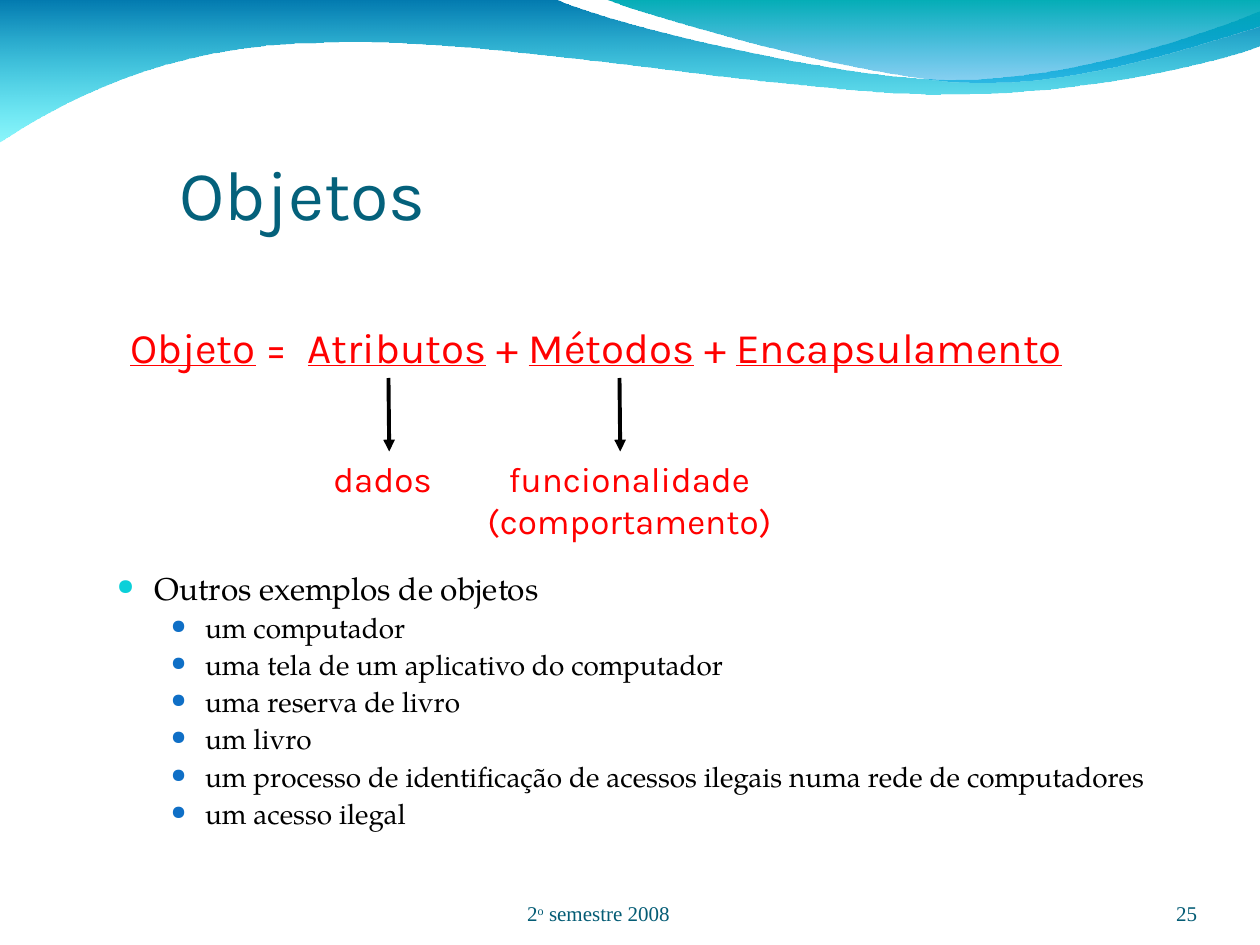
from lxml import etree
from pptx import Presentation
from pptx import util as u
from pptx.dml.color import RGBColor
from pptx.enum import shapes, text
from pptx.oxml.ns import qn

SLIDE_WIDTH, SLIDE_HEIGHT = u.Inches(10), u.Inches(7.5)
COLUMNS = 120
UNIT = SLIDE_WIDTH / COLUMNS  # square grid of 120 columns and 90 rows

BLACK = RGBColor(0x00, 0x00, 0x00)
RED = RGBColor(0xFF, 0x00, 0x00)
TITLE_TEAL = RGBColor(0x04, 0x61, 0x7B)
FOOTER_TEAL = RGBColor(0x04, 0x5C, 0x75)
BULLET_CYAN = RGBColor(0x0B, 0xD0, 0xD9)
BULLET_BLUE = RGBColor(0x0F, 0x6F, 0xC6)
WAVE_BLUE = RGBColor(0x00, 0x79, 0xAF)
WAVE_CYAN = RGBColor(0x00, 0xEB, 0xF8)
WAVE_TEAL = RGBColor(0x00, 0xAD, 0xB6)
WAVE_SKY = RGBColor(0x00, 0x9B, 0xE5)

HEADING_FONT, BODY_FONT, FOOTER_FONT = "Karla", "TeX Gyre Pagella", "Times New Roman"

# Each step is one point (a straight line) or three points (a cubic curve).
LEFT_WAVE = [
    [(0, -0.1)],
    [(52.8, -0.1)],
    [(57.12, 2.04), (79.68, 7.56), (90.96, 7.56)],
    [(102.36, 7.56), (114.96, 3.12), (120, 1.08)],
    [(120.1, 4.32)],
    [(117.96, 5.28), (104.4, 9.12), (89.52, 9)],
    [(74.64, 9), (45.84, 3.36), (30.84, 4.08)],
    [(15.48, 4.2), (5.52, 9.96), (-0.1, 13.56)],
]
RIGHT_WAVE = [
    [(57.5, -0.1)],
    [(61.08, 1.32), (81.84, 7.44), (92.28, 7.8)],
    [(102.72, 8.28), (115.32, 3.84), (120, 2.52)],
    [(120, 0)],
]

EXAMPLES = [
    "um computador",
    "uma tela de um aplicativo do computador",
    "uma reserva de livro",
    "um livro",
    "um processo de identificação de acessos ilegais numa rede de computadores",
    "um acesso ilegal",
]


def grid(*counts):
    """Turn counts of grid units into lengths."""
    return [u.Emu(round(count * UNIT)) for count in counts]


def bend(wave, steps):
    """Turn the three lines of each curved step into one cubic curve."""
    lines = iter(wave._element.spPr.findall(".//" + qn("a:lnTo")))
    for step in steps[1:]:
        step_lines = [next(lines) for _ in step]
        if len(step) == 3:
            curve = etree.Element(qn("a:cubicBezTo"))
            step_lines[0].addprevious(curve)
            for line in step_lines:
                curve.append(line[0])
                line.getparent().remove(line)


def add_wave(slide, steps, top_color, bottom_color):
    corners = [grid(*point) for step in steps for point in step]
    builder = slide.shapes.build_freeform(*corners[0])
    builder.add_line_segments(corners[1:], close=True)
    wave = builder.convert_to_shape()
    bend(wave, steps)
    wave.shadow.inherit = False
    wave.line.fill.background()
    wave.fill.gradient()
    wave.fill.gradient_angle = 270
    for stop, color in zip(wave.fill.gradient_stops, (top_color, bottom_color)):
        stop.color.rgb = color
    bottom = wave._element.spPr.findall(".//" + qn("a:srgbClr"))[-1]
    etree.SubElement(bottom, qn("a:alpha"), val="45000")


def add_text_frame(slide, area, anchor=text.MSO_ANCHOR.TOP, wrap=True, margins=(0.1, 0.05)):
    frame = slide.shapes.add_textbox(*grid(*area)).text_frame
    frame.word_wrap = wrap
    if not wrap:
        frame.auto_size = text.MSO_AUTO_SIZE.SHAPE_TO_FIT_TEXT
    frame.vertical_anchor = anchor
    frame.margin_left = frame.margin_right = u.Inches(margins[0])
    frame.margin_top = frame.margin_bottom = u.Inches(margins[1])
    return frame


def style(paragraph, font, size, color, alignment=text.PP_ALIGN.LEFT):
    paragraph.alignment = alignment
    paragraph.font.name = font
    paragraph.font.size = u.Pt(size)
    paragraph.font.color.rgb = color


def add_title(slide, title):
    frame = add_text_frame(slide, (15.95, 7.9, 102.2, 15), text.MSO_ANCHOR.BOTTOM)
    frame.text = title
    style(frame.paragraphs[0], HEADING_FONT, 40, TITLE_TEAL)


def add_formula(slide):
    frame = add_text_frame(slide, (9.5, 30, 95.5, 6), wrap=False)
    paragraph = frame.paragraphs[0]
    parts = ["Objeto", " =  ", "Atributos", " + ", "Métodos", " + ", "Encapsulamento", " "]
    for index, part in enumerate(parts):
        run = paragraph.add_run()
        run.text = part
        run.font.underline = index % 2 == 0
        run.font.color.rgb = RED  # the underline takes its colour from the run
    style(paragraph, HEADING_FONT, 24, RED, text.PP_ALIGN.CENTER)


def add_label(slide, area, lines):
    frame = add_text_frame(slide, area, wrap=False)
    frame.text = "\n".join(lines)
    for paragraph in frame.paragraphs:
        style(paragraph, HEADING_FONT, 20, RED, text.PP_ALIGN.CENTER)


def add_down_arrow(slide, column, top, bottom):
    arrow = slide.shapes.add_connector(
        shapes.MSO_CONNECTOR.STRAIGHT, *grid(column, top, column + 0.07, bottom))
    arrow.line.color.rgb = BLACK
    arrow.line.width = u.Pt(2.25)
    etree.SubElement(arrow.line._get_or_add_ln(), qn("a:tailEnd"), type="triangle")
    etree.SubElement(arrow._element.spPr, qn("a:effectLst"))


def add_bullet(paragraph, color, left, hanging):
    properties = paragraph._p.get_or_add_pPr()
    properties.set("marL", str(u.Inches(left)))
    properties.set("indent", str(-u.Inches(hanging)))
    bullet_color = etree.SubElement(properties, qn("a:buClr"))
    etree.SubElement(bullet_color, qn("a:srgbClr"), val=str(color))
    etree.SubElement(properties, qn("a:buSzPct"), val="70000")
    etree.SubElement(properties, qn("a:buChar"), char="●")


def add_examples(slide, heading, examples):
    frame = add_text_frame(slide, (9.95, 54, 102, 31.1))
    frame.text = "\n".join([heading, *examples])
    for index, paragraph in enumerate(frame.paragraphs):
        paragraph.line_spacing = 0.9
        if index == 0:
            add_bullet(paragraph, BULLET_CYAN, 0.3, 0.3)
            style(paragraph, BODY_FONT, 18, BLACK)
        else:
            paragraph.level = 1
            paragraph.space_before = u.Pt(4)
            add_bullet(paragraph, BULLET_BLUE, 0.7, 0.27)
            style(paragraph, BODY_FONT, 16, BLACK)


def add_footer(slide, left, width, parts, alignment):
    """Add a footer whose every second part is superscript."""
    frame = add_text_frame(slide, (left, 83.4, width, 4.8), text.MSO_ANCHOR.BOTTOM, margins=(0, 0))
    paragraph = frame.paragraphs[0]
    paragraph.line_spacing = u.Pt(54)
    for index, part in enumerate(parts):
        run = paragraph.add_run()
        run.text = part
        if index % 2:
            run._r.get_or_add_rPr().set("baseline", "30000")
    style(paragraph, FOOTER_FONT, 12, FOOTER_TEAL, alignment)


def main():
    presentation = Presentation()
    presentation.slide_width, presentation.slide_height = SLIDE_WIDTH, SLIDE_HEIGHT
    slide = presentation.slides.add_slide(presentation.slide_layouts[6])
    add_wave(slide, LEFT_WAVE, WAVE_BLUE, WAVE_CYAN)
    add_wave(slide, RIGHT_WAVE, WAVE_TEAL, WAVE_SKY)
    add_examples(slide, "Outros exemplos de objetos", EXAMPLES)
    add_footer(slide, 35, 44, ["2", "o", " semestre 2008"], text.PP_ALIGN.CENTER)
    add_footer(slide, 104, 10, ["25"], text.PP_ALIGN.RIGHT)
    add_formula(slide)
    add_label(slide, (30.45, 43, 12, 5.3), ["dados"])
    add_label(slide, (44.95, 43, 30, 9.2), ["funcionalidade", "(comportamento)"])
    for column in (37, 59):
        add_down_arrow(slide, column, 36, 43)
    add_title(slide, "Objetos")
    presentation.save("out.pptx")


if __name__ == "__main__":
    main()
